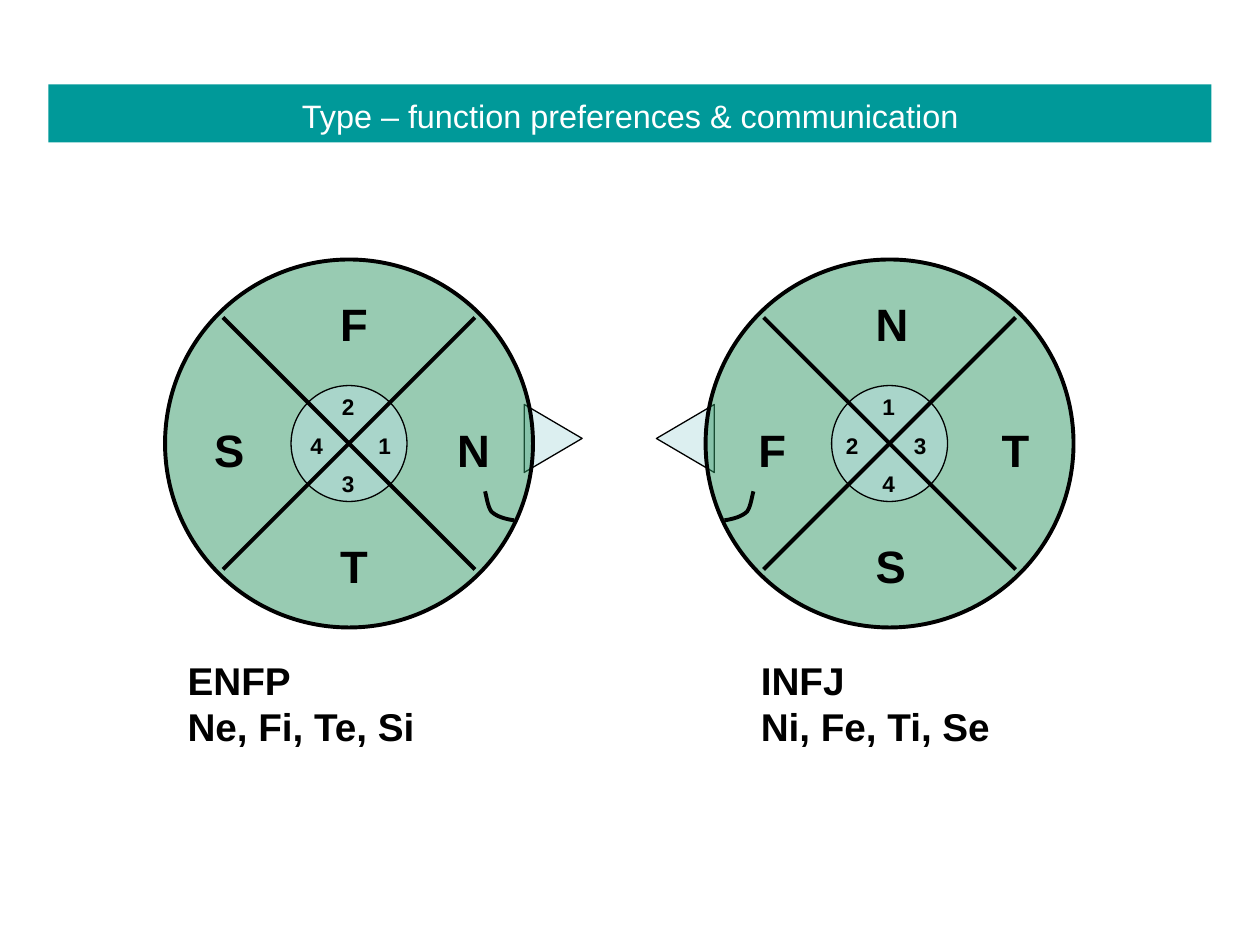
from dataclasses import dataclass

from lxml import etree
from pptx import Presentation
from pptx import util as u
from pptx.dml.color import RGBColor
from pptx.enum import shapes, text
from pptx.oxml.ns import qn

BLACK = RGBColor(0x00, 0x00, 0x00)
WHITE = RGBColor(0xFF, 0xFF, 0xFF)
TEAL = RGBColor(0x00, 0x99, 0x99)
GREEN = RGBColor(0x33, 0x99, 0x66)
PALE_BLUE = RGBColor(0xBB, 0xE0, 0xE3)

FONT = "Arial"
CENTER_Y = 3.52
THICK, THIN = 2.25, 0.75
# Offsets from the wheel centre to each label's centre, for a wheel facing right
# (order: front, top, back, bottom)
LETTER_OFFSETS = ((0.95, 0.05), (0.02, -0.95), (-0.98, 0.05), (0.02, 0.97))
RANK_OFFSETS = ((0.29, 0.02), (0, -0.29), (-0.25, 0.02), (0, 0.32))
# Two joined cubic curves, as offsets from the wheel centre
MOUTH = (
    ((1.31, 0.61), (1.24, 0.60), (1.17, 0.58), (1.13, 0.54)),
    ((1.13, 0.54), (1.10, 0.50), (1.09, 0.41), (1.08, 0.38)),
)


@dataclass(frozen=True)
class Wheel:
    center_x: float
    facing: int  # 1 looks right, -1 looks left
    letters: str  # front, top, back, bottom
    ranks: str
    caption_left: float
    caption_width: float
    caption: tuple[str, str]


WHEELS = (
    Wheel(2.77, 1, "NFST", "1243", 1.39, 2.02, ("ENFP", "Ne, Fi, Te, Si")),
    Wheel(7.06, -1, "FNTS", "2134", 5.94, 2.04, ("INFJ", "Ni, Fe, Ti, Se")),
)


def add_filled(parent, kind, cx: float, cy: float, width: float, height: float,
               color: RGBColor, line_width: float = 0, opacity: int = 100):
    """Add a preset shape centred on (cx, cy)."""
    s = parent.shapes.add_shape(kind, u.Inches(cx - width / 2), u.Inches(cy - height / 2),
                                u.Inches(width), u.Inches(height))
    s.shadow.inherit = False
    s.fill.solid()
    s.fill.fore_color.rgb = color
    if opacity < 100:
        clr = s._element.spPr.find(qn("a:solidFill"))[0]
        etree.SubElement(clr, qn("a:alpha"), val=str(opacity * 1000))
    if line_width:
        s.line.color.rgb = BLACK
        s.line.width = u.Pt(line_width)
    else:
        s.line.fill.background()
    return s


def add_text(parent, left: float, top: float, width: float, height: float,
             lines: tuple[str, ...], size: float, color: RGBColor = BLACK,
             bold: bool = True, wrap: bool = True):
    s = parent.shapes.add_textbox(u.Inches(left), u.Inches(top),
                                  u.Inches(width), u.Inches(height))
    tf = s.text_frame
    tf.word_wrap = wrap
    for i, line in enumerate(lines):
        p = tf.add_paragraph() if i else tf.paragraphs[0]
        r = p.add_run()
        r.text = line
        r.font.name = FONT
        r.font.size = u.Pt(size)
        r.font.bold = bold
        r.font.color.rgb = color
    return s


def add_label(parent, cx: float, cy: float, width: float, height: float,
              label: str, size: float) -> None:
    """Add a one-letter label with half a line of space before it."""
    s = add_text(parent, cx - width / 2, cy - height / 2, width, height, (label,), size)
    s.text_frame.auto_size = text.MSO_AUTO_SIZE.SHAPE_TO_FIT_TEXT
    before = etree.SubElement(s.text_frame.paragraphs[0]._p.get_or_add_pPr(), qn("a:spcBef"))
    etree.SubElement(before, qn("a:spcPct"), val="50000")


def add_spoke(parent, x1: float, y1: float, x2: float, y2: float) -> None:
    s = parent.shapes.add_connector(shapes.MSO_CONNECTOR.STRAIGHT, u.Inches(x1), u.Inches(y1),
                                    u.Inches(x2), u.Inches(y2))
    s.line.color.rgb = BLACK
    s.line.width = u.Pt(THICK)
    etree.SubElement(s._element.spPr, qn("a:effectLst"))


def curve_points(curve, steps: int = 8) -> list[tuple[float, float]]:
    """Return points along a cubic Bezier curve."""
    points = []
    for i in range(steps + 1):
        t = i / steps
        weights = ((1 - t) ** 3, 3 * t * (1 - t) ** 2, 3 * t * t * (1 - t), t ** 3)
        points.append(tuple(sum(w * c[axis] for w, c in zip(weights, curve))
                            for axis in (0, 1)))
    return points


def add_mouth(parent, wheel: Wheel) -> None:
    points = [(u.Inches(wheel.center_x + wheel.facing * dx), u.Inches(CENTER_Y + dy))
              for curve in MOUTH for dx, dy in curve_points(curve)]
    builder = parent.shapes.build_freeform(*points[0])
    builder.add_line_segments(points[1:], close=False)
    s = builder.convert_to_shape()
    s.shadow.inherit = False
    s.fill.background()
    s.line.color.rgb = BLACK
    s.line.width = u.Pt(THICK)


def draw_wheel(slide, wheel: Wheel) -> None:
    cx, facing = wheel.center_x, wheel.facing
    group = slide.shapes.add_group_shape()
    nose = add_filled(group, shapes.MSO_SHAPE.ISOSCELES_TRIANGLE, cx + facing * 1.62,
                      CENTER_Y - 0.04, 0.54, 0.46, PALE_BLUE, THIN, 50)
    nose.rotation = 90 * facing % 360
    for diameter, color, line_width in ((2.92, GREEN, THICK), (0.92, PALE_BLUE, THIN)):
        add_filled(group, shapes.MSO_SHAPE.OVAL, cx, CENTER_Y, diameter, diameter,
                   color, line_width, 50)
    add_mouth(group, wheel)
    for slope in (1, -1):
        add_spoke(group, cx - facing, CENTER_Y - slope, cx + facing, CENTER_Y + slope)
    for labels, offsets, width, height, size in (
        (wheel.letters, LETTER_OFFSETS, 0.38, 0.54, 25.9),
        (wheel.ranks, RANK_OFFSETS, 0.31, 0.32, 12.9),
    ):
        for label, (dx, dy) in zip(labels, offsets):
            add_label(group, cx + facing * dx, CENTER_Y + dy, width, height, label, size)
    caption = add_text(slide, wheel.caption_left, 5.16, wheel.caption_width, 0.85,
                       wheel.caption, 22.1, wrap=False)
    caption.text_frame.auto_size = text.MSO_AUTO_SIZE.SHAPE_TO_FIT_TEXT


def draw_title(slide) -> None:
    add_filled(slide, shapes.MSO_SHAPE.RECTANGLE, 5, 0.9, 9.23, 0.46, TEAL)
    s = add_text(slide, 0.5, 0.6, 9, 0.63, ("Type – function preferences & communication",),
                 18.5, WHITE, bold=False)
    s.text_frame.vertical_anchor = text.MSO_ANCHOR.MIDDLE
    s.text_frame.paragraphs[0].alignment = text.PP_ALIGN.CENTER


def main() -> None:
    prs = Presentation()
    prs.slide_width, prs.slide_height = u.Inches(10), u.Inches(7.5)
    slide = prs.slides.add_slide(prs.slide_layouts[6])
    for wheel in WHEELS:
        draw_wheel(slide, wheel)
    draw_title(slide)
    prs.save("out.pptx")


if __name__ == "__main__":
    main()
